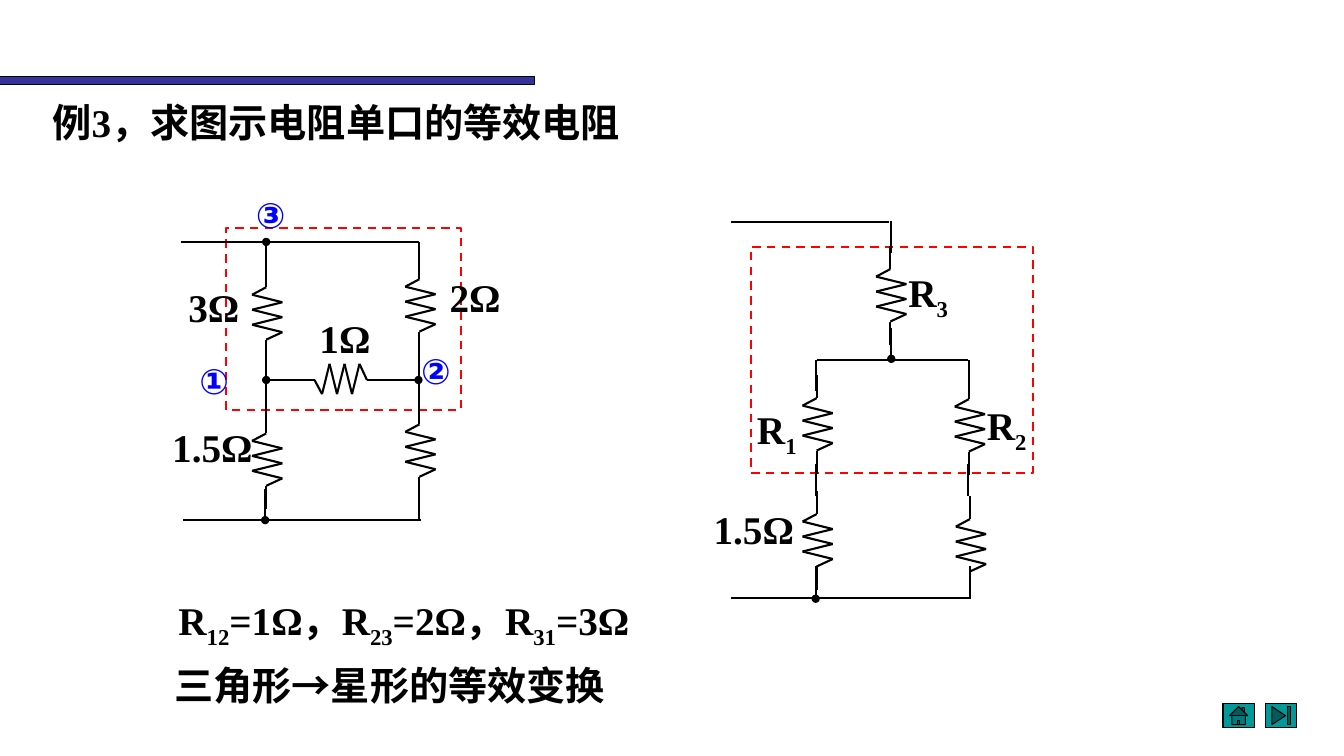
from dataclasses import dataclass
from itertools import pairwise

from lxml import etree
from pptx import Presentation
from pptx import util as u
from pptx.dml.color import RGBColor
from pptx.enum import dml, shapes, text
from pptx.oxml import ns


@dataclass(frozen=True)
class Theme:
    ink: str = "000000"
    bar: str = "333399"
    teal: str = "009999"
    red: str = "FF0000"
    blue: str = "0000FF"
    serif: str = "Times New Roman"
    sans: str = "Arial"
    body: int = 28
    mark: int = 25
    thin: float = 0.75
    wire: float = 1.5


@dataclass(frozen=True)
class Box:
    kind: shapes.MSO_SHAPE
    x: float
    y: float
    w: float
    h: float
    fill: str = ""
    dash: bool = False


@dataclass(frozen=True)
class Wire:
    x: float
    y: float
    x2: float
    y2: float
    dot: str = ""  # "head" or "tail": the end that is a node


@dataclass(frozen=True)
class Coil:
    """Resistor: x, y is where the zigzag begins."""
    x: float
    y: float
    flat: bool = False


@dataclass(frozen=True)
class Label:
    words: str  # underscores enclose subscripts
    x: float
    y: float
    w: float
    h: float = 0.57
    wrap: bool = False
    pad: bool = True
    mark: bool = False


T = Theme()
LEAD, SPAN, TURNS = 0.23, 0.52, 7
LOW, HIGH = -0.14, 0.16  # zigzag reach on either side
S = shapes.MSO_SHAPE

BOXES = [
    Box(S.RECTANGLE, 0, 0.76, 5.3, 0.08, T.bar),
    Box(S.ACTION_BUTTON_HOME, 12.13, 6.98, 0.31, 0.24, T.teal),
    Box(S.ACTION_BUTTON_END, 12.55, 6.98, 0.31, 0.24, T.teal),
    Box(S.RECTANGLE, 2.24, 2.26, 2.33, 1.81, dash=True),
    Box(S.RECTANGLE, 7.45, 2.45, 2.8, 2.24, dash=True),
]

WIRES = [
    # Delta circuit
    Wire(3.76, 3.77, 4.15, 3.77, "tail"),
    Wire(2.64, 2.4, 2.64, 2.72, "head"),
    Wire(2.63, 4.85, 2.63, 5.16, "tail"),
    Wire(1.82, 5.16, 4.18, 5.16),
    Wire(4.16, 2.4, 4.16, 2.72),
    Wire(4.16, 4.85, 4.16, 5.16),
    Wire(2.64, 3.43, 2.64, 4.13),
    Wire(4.16, 3.41, 4.16, 4.12),
    Wire(1.8, 2.4, 4.16, 2.4),
    Wire(2.64, 3.77, 3.03, 3.77, "head"),
    # Star circuit
    Wire(8.09, 3.57, 8.09, 3.88),
    Wire(8.09, 5.62, 8.09, 5.94, "tail"),
    Wire(7.25, 5.93, 9.61, 5.93),
    Wire(9.61, 3.57, 9.61, 3.88),
    Wire(9.62, 5.62, 9.62, 5.94),
    Wire(8.09, 4.6, 8.09, 4.92),
    Wire(7.25, 2.2, 8.82, 2.2),
    Wire(9.6, 4.6, 9.6, 4.92),
    Wire(8.1, 3.57, 9.6, 3.57),
    Wire(8.84, 3.25, 8.84, 3.56, "tail"),
    Wire(8.84, 2.19, 8.84, 2.51),
]

COILS = [
    # Delta circuit
    Coil(2.64, 4.3), Coil(4.16, 2.77), Coil(4.16, 4.21),
    Coil(2.64, 2.85), Coil(3.12, 3.77, True),
    # Star circuit
    Coil(8.83, 2.67), Coil(8.1, 3.95), Coil(9.61, 3.96),
    Coil(8.1, 5.1), Coil(9.62, 5.15),
]

LABELS = [
    Label("例3，求图示电阻单口的等效电阻", 0.52, 0.98, 6.69, 0.47, True, False),
    Label("R_12_=1Ω，R_23_=2Ω，R_31_=3Ω", 1.77, 5.92, 8.56, 0.47, True, False),
    Label("三角形→星形的等效变换", 1.73, 6.56, 8.56, 0.47, True, False),
    Label("3Ω", 1.77, 2.76, 0.71),
    Label("2Ω", 4.36, 2.66, 0.71),
    Label("1.5Ω", 1.61, 4.15, 1),
    Label("1Ω", 3.07, 3.07, 0.79, wrap=True),
    Label("R_1_", 7.41, 3.97, 0.73, wrap=True),
    Label("R_2_", 9.69, 3.93, 0.69, wrap=True),
    Label("1.5Ω", 6.98, 4.96, 1),
    Label("R_3_", 8.91, 2.61, 0.68, wrap=True),
    Label("③", 2.44, 1.87, 0.63, 0.52, True, mark=True),
    Label("①", 1.88, 3.52, 0.63, 0.52, True, mark=True),
    Label("②", 4.08, 3.42, 0.63, 0.52, True, mark=True),
]


def rgb(code: str) -> RGBColor:
    return RGBColor.from_string(code)


def stroke(item, color: str, width: float) -> None:
    item.line.color.rgb = rgb(color)
    item.line.width = u.Pt(width)


def draw_box(slide, box: Box) -> None:
    shape = slide.shapes.add_shape(
        box.kind, *map(u.Inches, (box.x, box.y, box.w, box.h)))
    shape.shadow.inherit = False
    if box.fill:
        shape.fill.solid()
        shape.fill.fore_color.rgb = rgb(box.fill)
    else:
        shape.fill.background()
    stroke(shape, T.red if box.dash else T.ink, T.wire if box.dash else T.thin)
    if box.dash:
        shape.line.dash_style = dml.MSO_LINE.DASH


def draw_wire(slide, wire: Wire) -> None:
    line = slide.shapes.add_connector(
        shapes.MSO_CONNECTOR.STRAIGHT,
        *map(u.Inches, (wire.x, wire.y, wire.x2, wire.y2)))
    stroke(line, T.ink, T.wire)
    etree.SubElement(line._element.spPr, ns.qn("a:effectLst"))
    if wire.dot:
        etree.SubElement(line.line._ln, ns.qn(f"a:{wire.dot}End"), type="oval")


def draw_coil(slide, coil: Coil) -> None:
    # Offsets along and across the axis: lead, zigzag, lead
    zigzag = [(SPAN * i / TURNS, HIGH if i % 2 == 0 else LOW)
              for i in range(1, TURNS)]
    track = [(-LEAD, 0), (0, 0), *zigzag, (SPAN, 0), (SPAN + LEAD, 0)]
    if coil.flat:
        dots = [(coil.x + a, coil.y - b) for a, b in track]
    else:
        dots = [(coil.x + b, coil.y + a) for a, b in track]
    for start, end in pairwise(dots):
        # Zigzag strokes run from the far end; rising ones from the near end
        forward = not coil.flat and start[0] < end[0] and end != dots[-2]
        first, last = (start, end) if forward else (end, start)
        draw_wire(slide, Wire(*first, *last))


def draw_label(slide, label: Label) -> None:
    box = slide.shapes.add_textbox(
        *map(u.Inches, (label.x, label.y, label.w, label.h)))
    frame = box.text_frame
    frame.word_wrap = label.wrap
    frame.auto_size = text.MSO_AUTO_SIZE.SHAPE_TO_FIT_TEXT
    if not label.pad:
        frame.margin_left = frame.margin_right = 0
        frame.margin_top = frame.margin_bottom = 0
    para = frame.paragraphs[0]
    for i, part in enumerate(filter(None, label.words.split("_"))):
        run = para.add_run()
        run.text = part
        run.font.name = T.sans if label.mark else T.serif
        run.font.size = u.Pt(T.mark if label.mark else T.body)
        run.font.bold = True
        run.font.color.rgb = rgb(T.blue if label.mark else T.ink)
        if i % 2:
            run._r.get_or_add_rPr().set("baseline", "-25000")


def main() -> None:
    deck = Presentation()
    deck.slide_width, deck.slide_height = u.Inches(13.33), u.Inches(7.5)
    slide = deck.slides.add_slide(deck.slide_layouts[6])
    for draw, items in ((draw_box, BOXES), (draw_wire, WIRES),
                        (draw_coil, COILS), (draw_label, LABELS)):
        for item in items:
            draw(slide, item)
    deck.save("out.pptx")


if __name__ == "__main__":
    main()
